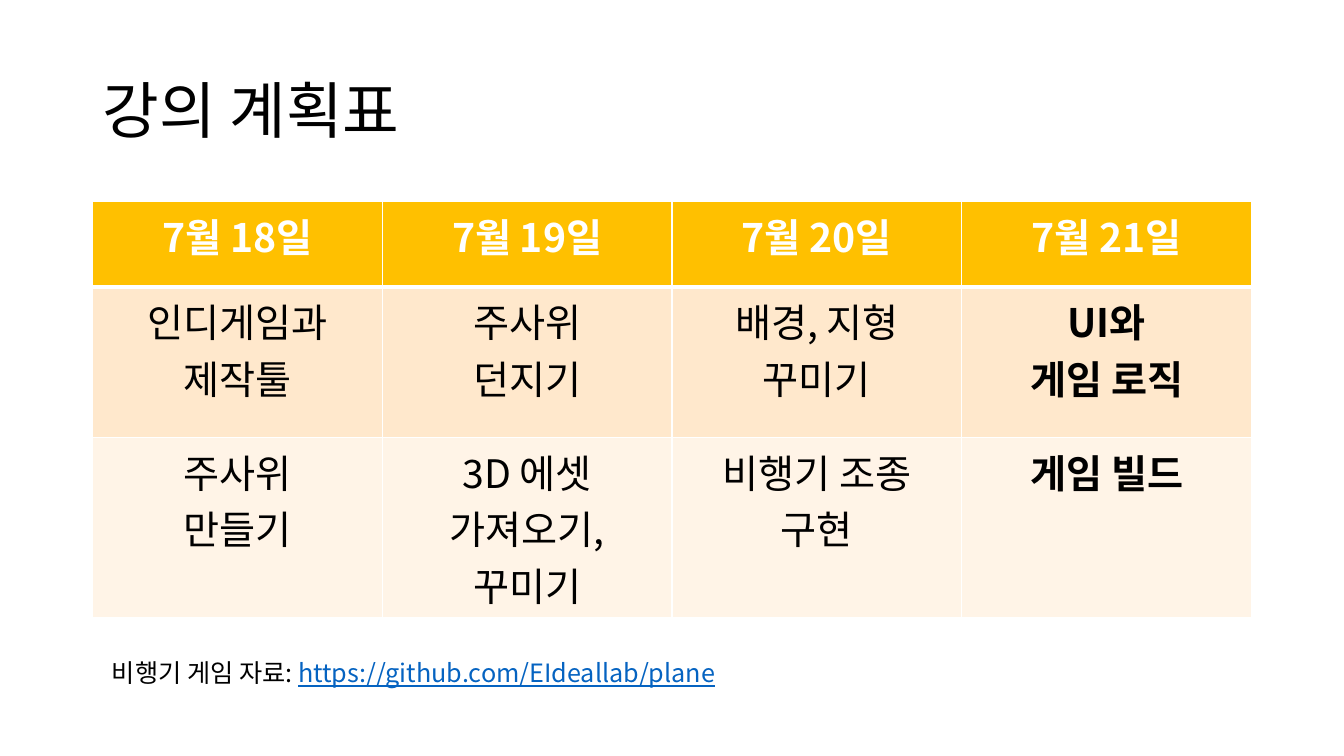
from dataclasses import dataclass

from lxml.etree import SubElement
from pptx import Presentation
from pptx.dml.color import RGBColor
from pptx.enum.text import MSO_ANCHOR, MSO_AUTO_SIZE, PP_ALIGN
from pptx.oxml.ns import qn
from pptx.util import Cm, Pt


@dataclass(frozen=True)
class Theme:
    font: str = "Noto Sans CJK KR"
    title_size: int = 44
    table_size: int = 28
    source_size: int = 18
    text: str = "000000"
    white: str = "FFFFFF"
    link: str = "0563C1"
    row_fills: tuple = ("FFC000", "FFE8CC", "FFF4E7")


THEME = Theme()
LEFT, WIDTH = 2.33, 29.21
ROW_HEIGHTS = (2.16, 3.79, 3.79)
SCHEDULE = (
    ("7월 18일", "7월 19일", "7월 20일", "7월 21일"),
    ("인디게임과\n제작툴", "주사위\n던지기", "배경, 지형\n꾸미기", "UI와\n게임 로직"),
    ("주사위\n만들기", "3D 에셋\n가져오기,\n꾸미기", "비행기 조종\n구현", "게임 빌드"),
)


def add_run(paragraph, text, size, color=THEME.text, **formats):
    run = paragraph.add_run()
    run.text = text
    formats = {"name": THEME.font, "size": Pt(size), **formats}
    for attribute, value in formats.items():
        setattr(run.font, attribute, value)
    run.font.color.rgb = RGBColor.from_string(color)
    east_asian = SubElement(run.font._element, qn("a:ea"))
    east_asian.set("typeface", THEME.font)


def add_cell_borders(cell, widths):
    """Draw white borders; widths maps a side (L, R, T, B) to points."""
    properties = cell._tc.get_or_add_tcPr()
    for side, width in widths.items():
        border = SubElement(properties, qn(f"a:ln{side}"), w=str(Pt(width)))
        fill = SubElement(border, qn("a:solidFill"))
        SubElement(fill, qn("a:srgbClr"), val=THEME.white)


def fill_cell(cell, text, row, is_last_day):
    is_header = row == 0
    add_cell_borders(cell, {
        "L": 1, "R": 1,
        "T": 3 if row == 1 else 1,
        "B": 3 if is_header else 1,
    })
    cell.fill.solid()
    cell.fill.fore_color.rgb = RGBColor.from_string(THEME.row_fills[row])
    frame = cell.text_frame
    for index, line in enumerate(text.split("\n")):
        paragraph = frame.add_paragraph() if index else frame.paragraphs[0]
        paragraph.alignment = PP_ALIGN.CENTER
        add_run(paragraph, line, THEME.table_size,
                THEME.white if is_header else THEME.text,
                bold=is_header or is_last_day)


def set_title(slide, text):
    title = slide.shapes.title
    place = {"left": LEFT, "top": 1.02, "width": WIDTH, "height": 3.68}
    for attribute, value in place.items():
        setattr(title, attribute, Cm(value))
    title.text_frame.vertical_anchor = MSO_ANCHOR.MIDDLE
    paragraph = title.text_frame.paragraphs[0]
    paragraph.alignment = PP_ALIGN.LEFT
    paragraph.line_spacing = 0.9
    add_run(paragraph, text, THEME.title_size)


def add_schedule(slide):
    days = len(SCHEDULE[0])
    schedule = slide.shapes.add_table(
        len(SCHEDULE), days, Cm(LEFT), Cm(5.08), Cm(WIDTH), Cm(sum(ROW_HEIGHTS))
    ).table
    for row, (height, texts) in enumerate(zip(ROW_HEIGHTS, SCHEDULE)):
        schedule.rows[row].height = Cm(height)
        for day, text in enumerate(texts):
            fill_cell(schedule.cell(row, day), text, row, day == days - 1)


def add_source(slide, label, address):
    source = slide.shapes.add_textbox(Cm(2.57), Cm(16.43), Cm(15.77), Cm(1.02))
    source.text_frame.word_wrap = False
    source.text_frame.auto_size = MSO_AUTO_SIZE.SHAPE_TO_FIT_TEXT
    paragraph = source.text_frame.paragraphs[0]
    add_run(paragraph, label, THEME.source_size)
    add_run(paragraph, address, THEME.source_size, THEME.link, underline=True)


def main():
    presentation = Presentation()
    presentation.slide_width = Cm(33.87)
    presentation.slide_height = Cm(19.05)
    slide = presentation.slides.add_slide(presentation.slide_layouts[5])
    set_title(slide, "강의 계획표")
    add_schedule(slide)
    add_source(slide, "비행기 게임 자료: ", "https://github.com/EIdeallab/plane")
    presentation.save("out.pptx")


if __name__ == "__main__":
    main()
